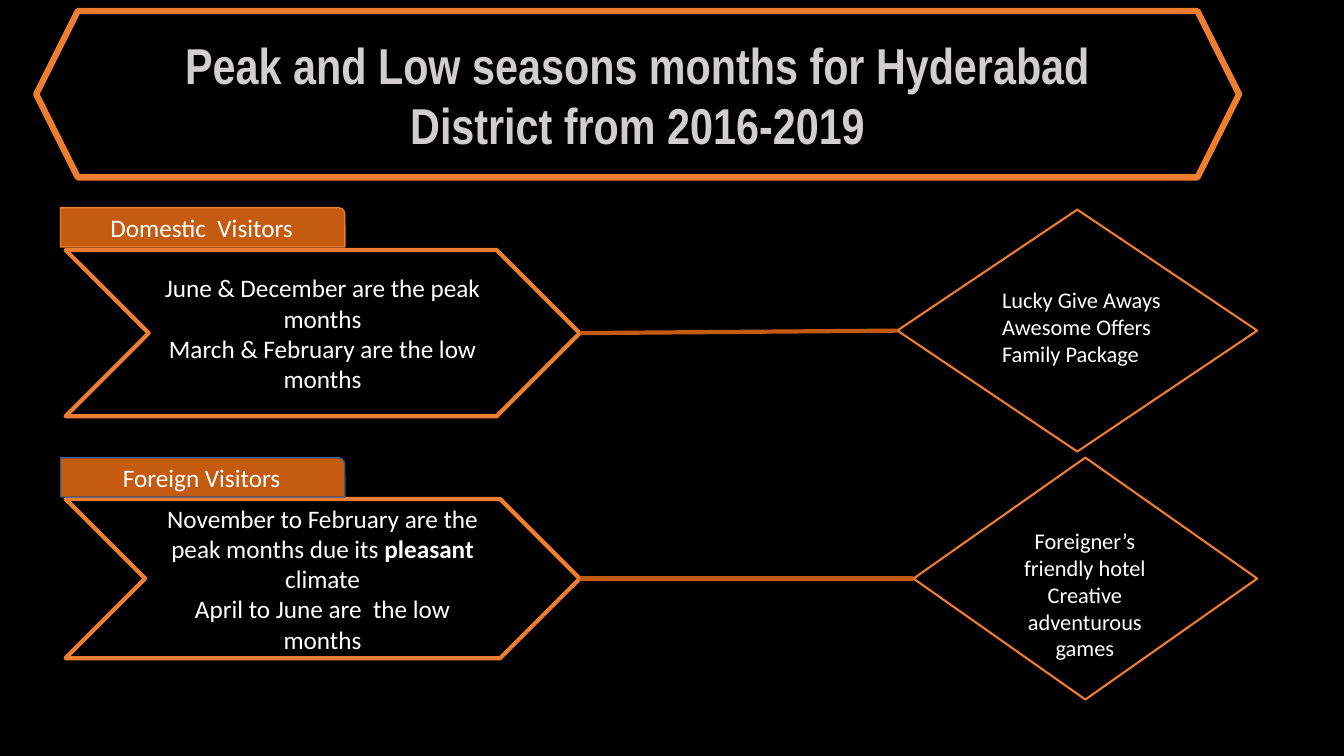
"""Build the slide on peak and low visitor months for Hyderabad District."""
from lxml import etree
from pptx import Presentation
from pptx.dml.color import RGBColor
from pptx.enum.shapes import MSO_CONNECTOR, MSO_SHAPE
from pptx.enum.text import MSO_ANCHOR, PP_ALIGN
from pptx.oxml.ns import qn
from pptx.util import Inches, Pt

ORANGE, RUST, WHITE = "ED7D31", "C55A11", "FFFFFF"
TITLE = "Peak and Low seasons months for Hyderabad District from 2016-2019"
VISITORS = [
    {
        "label": "Domestic  Visitors", "label_top": 2.06, "label_line": ORANGE,
        "months": [["June & December are the peak months"],
                   ["March & February are the low months"]],
        "chevron": (0.65, 2.48, 5.1, 1.65),
        "diamond": (8.9, 2.08, 3.57, 2.4),
        "ideas": [["Lucky Give Aways"], ["Awesome Offers"], ["Family Package"]],
        "ideas_box": (9.84, 2.79, 1.87, 1.21), "align": PP_ALIGN.LEFT,
    },
    {
        "label": "Foreign Visitors", "label_top": 4.54, "label_line": "325491",
        "months": [["November to February are the peak months due its ",
                    "pleasant", " climate"],
                   ["April to June are  the low months"]],
        "chevron": (0.65, 4.95, 5.1, 1.58),
        "diamond": (9.06, 4.54, 3.41, 2.4),
        "ideas": [["Foreigner’s friendly hotel"], ["Creative adventurous games"]],
        "ideas_box": (9.82, 5.18, 1.88, 1.45), "align": PP_ALIGN.CENTER,
    },
]
BOLD_WORDS = {"pleasant"}


def paint(fmt, color):
    fmt.solid()
    fmt.fore_color.rgb = RGBColor.from_string(color)


def write(sp, paragraphs, size, color=WHITE, font="Calibri", bold=False,
          align=PP_ALIGN.CENTER, anchor=MSO_ANCHOR.MIDDLE):
    tf = sp.text_frame
    tf.word_wrap = True
    tf.vertical_anchor = anchor
    for i, runs in enumerate(paragraphs):
        p = tf.add_paragraph() if i else tf.paragraphs[0]
        p.alignment = align
        p.font.size, p.font.name, p.font.bold = Pt(size), font, bold
        paint(p.font.fill, color)
        for text in runs:
            r = p.add_run()
            r.text = text
            if text in BOLD_WORDS:
                r.font.bold = True


def add_box(s, kind, box, line, width, fill=None):
    sp = s.shapes.add_shape(kind, *map(Inches, box))
    sp.shadow.inherit = False
    if fill:
        paint(sp.fill, fill)
    else:
        sp.fill.background()
    paint(sp.line.fill, line)
    sp.line.width = Pt(width)
    return sp


def add_link(s, chevron, diamond):
    x1, y1 = chevron.left + chevron.width, chevron.top + chevron.height // 2
    x2, y2 = diamond.left, diamond.top + diamond.height // 2
    link = s.shapes.add_connector(MSO_CONNECTOR.STRAIGHT, x1, y1, x2, y2)
    paint(link.line.fill, RUST)
    link.line.width = Pt(3)
    etree.SubElement(link._element.spPr, qn("a:effectLst"))


def add_visitors(s, group):
    chevron = add_box(s, MSO_SHAPE.CHEVRON, group["chevron"], ORANGE, 3)
    write(chevron, group["months"], 18)
    diamond = add_box(s, MSO_SHAPE.DIAMOND, group["diamond"], ORANGE, 1.5)
    add_link(s, chevron, diamond)
    ideas = s.shapes.add_textbox(*map(Inches, group["ideas_box"]))
    write(ideas, group["ideas"], 16, align=group["align"], anchor=MSO_ANCHOR.TOP)
    label = add_box(s, MSO_SHAPE.ROUND_1_RECTANGLE,
                    (0.6, group["label_top"], 2.82, 0.39), group["label_line"], 1, RUST)
    write(label, [[group["label"]]], 18)


def main():
    prs = Presentation()
    prs.slide_width, prs.slide_height = Inches(13.33), Inches(7.5)
    s = prs.slides.add_slide(prs.slide_layouts[6])
    paint(s.background.fill, "000000")
    title = add_box(s, MSO_SHAPE.HEXAGON, (0.36, 0.11, 11.93, 1.65), ORANGE, 4.5)
    write(title, [[TITLE]], 36, "D0CECE", "Arial Narrow", True)
    for group in VISITORS:
        add_visitors(s, group)
    prs.save("out.pptx")


if __name__ == "__main__":
    main()
